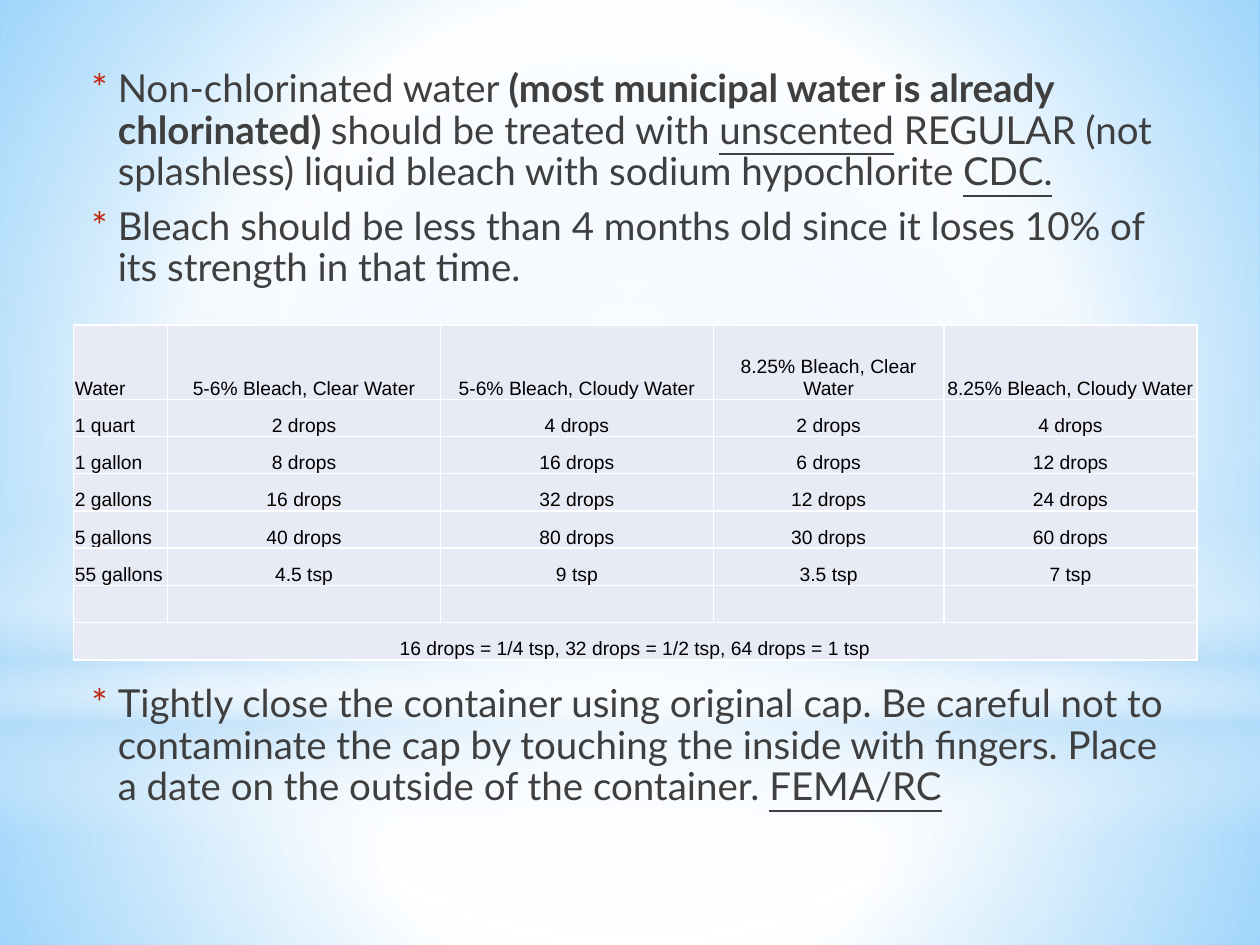
from lxml.etree import SubElement
from pptx import Presentation
from pptx.dml.color import RGBColor
from pptx.enum.shapes import MSO_SHAPE
from pptx.enum.text import MSO_ANCHOR, MSO_AUTO_SIZE, PP_ALIGN
from pptx.oxml.ns import qn
from pptx.util import Cm, Pt

WHITE = RGBColor(0xFF, 0xFF, 0xFF)
BLACK = RGBColor(0, 0, 0)
GREY = RGBColor(0x3F, 0x3F, 0x3F)
RED = RGBColor(0xC3, 0x26, 0x0C)
PALE = RGBColor(0xE8, 0xEA, 0xF5)
SKY = RGBColor(0x99, 0xD4, 0xFE)
BLUE = RGBColor(0x54, 0xBD, 0xFF)
MIST = RGBColor(0xB4, 0xDC, 0xFA)

BODY = {"size": Pt(22), "name": "Lato"}
CELL = {"size": Pt(11), "name": "Arial"}
INSET = {"margin_left": Cm(0.03), "margin_right": Cm(0.03),
         "margin_top": Cm(0.03), "margin_bottom": 0,
         "vertical_anchor": MSO_ANCHOR.BOTTOM}

# Each item: space before in points, then runs of text and format
ITEMS = [
    (0, [("Non-chlorinated water ", {}),
         ("(most municipal water is already chlorinated) ", {"bold": True}),
         ("should be treated with ", {}),
         ("unscented", {"underline": True}),
         (" REGULAR (not splashless) liquid bleach with sodium hypochlorite ", {}),
         ("CDC.", {"underline": True})]),
    (7.4, [("Bleach should be less than 4 months old since it loses 10% of "
            "its strength in that time.", {})]),
    (225.4, [("Tightly close the container using original cap. Be careful not to "
              "contaminate the cap by touching the inside with fingers. Place a "
              "date on the outside of the container. ", {}),
             ("FEMA/RC", {"underline": True})]),
]

DOSES = [
    ["Water", "5-6% Bleach, Clear Water", "5-6% Bleach, Cloudy Water",
     "8.25% Bleach, Clear Water", "8.25% Bleach, Cloudy Water"],
    ["1 quart", "2 drops", "4 drops", "2 drops", "4 drops"],
    ["1 gallon", "8 drops", "16 drops", "6 drops", "12 drops"],
    ["2 gallons", "16 drops", "32 drops", "12 drops", "24 drops"],
    ["5 gallons", "40 drops", "80 drops", "30 drops", "60 drops"],
    ["55 gallons", "4.5 tsp", "9 tsp", "3.5 tsp", "7 tsp"],
    [""] * 5,
    ["16 drops = 1/4 tsp, 32 drops = 1/2 tsp, 64 drops = 1 tsp"] + [""] * 4,
]
WIDTHS = [1.9, 5.5, 5.5, 4.65, 5.1]
HEIGHTS = [1.5] + [0.75] * 7


def apply(item, values):
    for key, value in values.items():
        setattr(item, key, value)


def add_run(para, text, color, values):
    run = para.add_run()
    run.text = text
    apply(run.font, values)
    run.font.color.rgb = color


def shade(owner, fill, stops, angle=None):
    """Fill with stops of (place, colour, opacity), round or at an angle."""
    fill.gradient()
    grad = owner.element.find(".//" + qn("a:gradFill"))
    for child in list(grad):
        grad.remove(child)
    group = SubElement(grad, qn("a:gsLst"))
    for place, color, alpha in stops:
        stop = SubElement(group, qn("a:gs"), pos=str(place * 1000))
        tint = SubElement(stop, qn("a:srgbClr"), val=str(color))
        SubElement(tint, qn("a:alpha"), val=str(alpha * 1000))
    if angle is None:
        way = SubElement(grad, qn("a:path"), path="circle")
        SubElement(way, qn("a:fillToRect"),
                   {side: "50000" for side in "ltrb"})
    else:
        SubElement(grad, qn("a:lin"), ang=str(angle * 60000), scaled="0")


def add_sky(slide, left, top, width):
    """Soft background of four layers."""
    shade(slide, slide.background.fill,
          [(0, SKY, 100), (60, WHITE, 100), (100, BLUE, 100)])
    rect, oval = MSO_SHAPE.RECTANGLE, MSO_SHAPE.OVAL
    layers = [
        (rect, 14.17, 4.88, None,
         [(0, WHITE, 91), (37, WHITE, 76), (100, MIST, 79)]),
        (rect, 0, 14.17, None,
         [(0, WHITE, 89), (48, WHITE, 62), (100, MIST, 79)]),
        (rect, 10.46, 6.35, 90,
         [(0, WHITE, 0), (29, WHITE, 30), (45, MIST, 40),
          (55, WHITE, 26), (65, MIST, 60), (100, WHITE, 0)]),
        (oval, 4.45, 14.17, None,
         [(0, WHITE, 100), (56, WHITE, 0), (100, WHITE, 0)]),
    ]
    for kind, drop, height, angle, stops in layers:
        layer = slide.shapes.add_shape(kind, Cm(left), Cm(top + drop),
                                       Cm(width), Cm(height))
        layer.shadow.inherit = False
        layer.line.fill.background()
        shade(layer, layer.fill, stops, angle)


def add_list(slide, left, top, width, height):
    """Starred list in the body placeholder, set above the background."""
    body = slide.placeholders[1]
    apply(body, {"left": Cm(left), "top": Cm(top),
                 "width": Cm(width), "height": Cm(height)})
    tree = body.element.getparent()
    tree.remove(body.element)
    tree.append(body.element)
    frame = body.text_frame
    apply(frame, {"word_wrap": True, "auto_size": MSO_AUTO_SIZE.NONE,
                  "vertical_anchor": MSO_ANCHOR.TOP})
    for i, (gap, runs) in enumerate(ITEMS):
        para = frame.add_paragraph() if i else frame.paragraphs[0]
        apply(para, {"line_spacing": 0.9, "space_before": Pt(gap),
                     "space_after": Pt(0), "alignment": PP_ALIGN.LEFT})
        for text, values in runs:
            add_run(para, text, GREY, BODY | values)
        # Red star bullet with a hanging indent
        props = para._p.get_or_add_pPr()
        props.set("marL", str(Cm(0.64)))
        props.set("indent", str(-Cm(0.53)))
        tint = SubElement(props, qn("a:buClr"))
        SubElement(tint, qn("a:srgbClr"), val=str(RED))
        SubElement(props, qn("a:buFont"), typeface="Lato")
        SubElement(props, qn("a:buChar"), char="*")


def add_edges(cell):
    """White lines on all sides; they must come before the fill."""
    props = cell._tc.get_or_add_tcPr()
    for side in ("lnL", "lnR", "lnT", "lnB"):
        line = SubElement(props, qn("a:" + side), w=str(Pt(1)))
        solid = SubElement(line, qn("a:solidFill"))
        SubElement(solid, qn("a:srgbClr"), val=str(WHITE))


def add_doses(slide, left, top):
    """Table of bleach doses."""
    table = slide.shapes.add_table(
        len(HEIGHTS), len(WIDTHS), Cm(left), Cm(top),
        Cm(sum(WIDTHS)), Cm(sum(HEIGHTS))).table
    for col, width in zip(table.columns, WIDTHS):
        col.width = Cm(width)
    for row, height in zip(table.rows, HEIGHTS):
        row.height = Cm(height)
    last = len(DOSES) - 1
    for r, row in enumerate(DOSES):
        for c, text in enumerate(row):
            cell = table.cell(r, c)
            apply(cell, INSET)
            add_edges(cell)
            cell.fill.solid()
            cell.fill.fore_color.rgb = PALE
            para = cell.text_frame.paragraphs[0]
            if c or r == last:
                para.alignment = PP_ALIGN.CENTER
            add_run(para, text, BLACK, CELL)
    table.cell(last, 0).merge(table.cell(last, len(WIDTHS) - 1))


def main():
    deck = Presentation()
    apply(deck, {"slide_width": Cm(25.4), "slide_height": Cm(19.05)})
    slide = deck.slides.add_slide(deck.slide_layouts[1])
    title = slide.shapes.title.element
    title.getparent().remove(title)
    add_sky(slide, 0, 0, 25.4)
    add_list(slide, 1.48, 1.27, 22.66, 16.71)
    add_doses(slide, 1.48, 6.55)
    deck.save("out.pptx")


if __name__ == "__main__":
    main()
